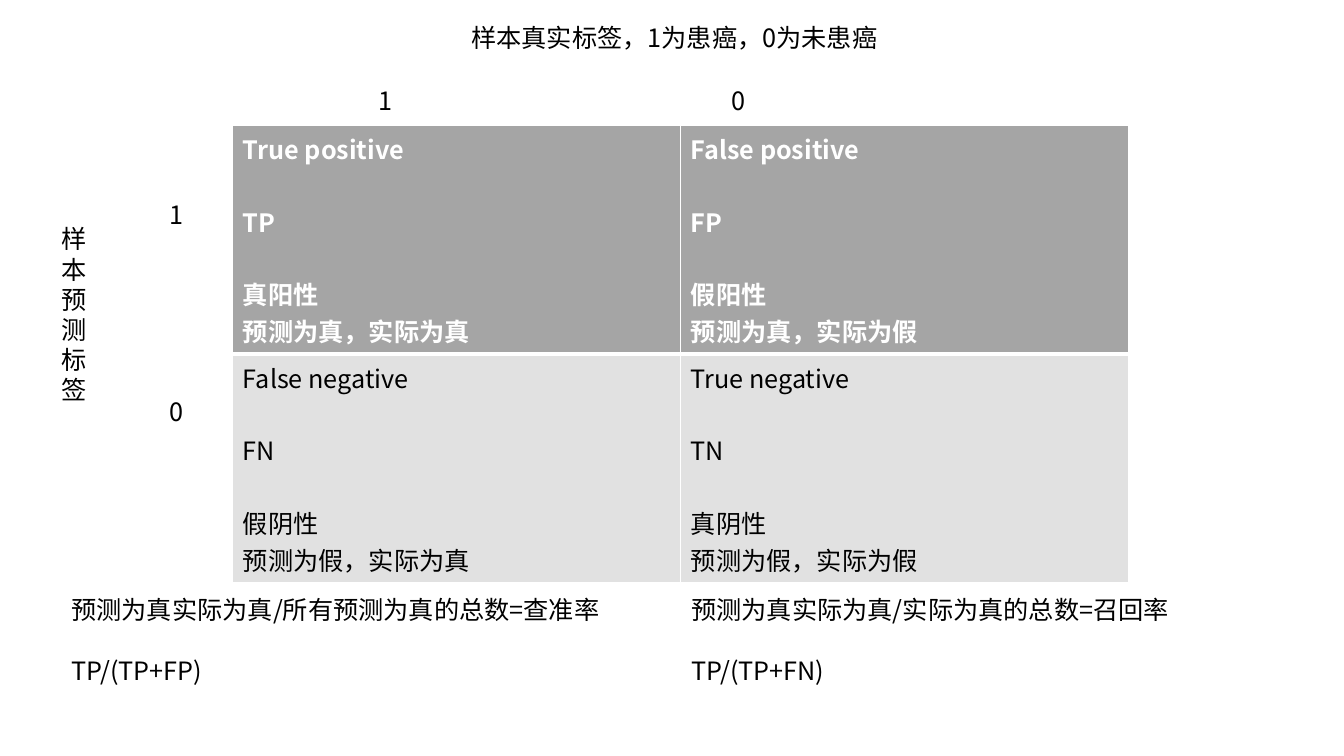
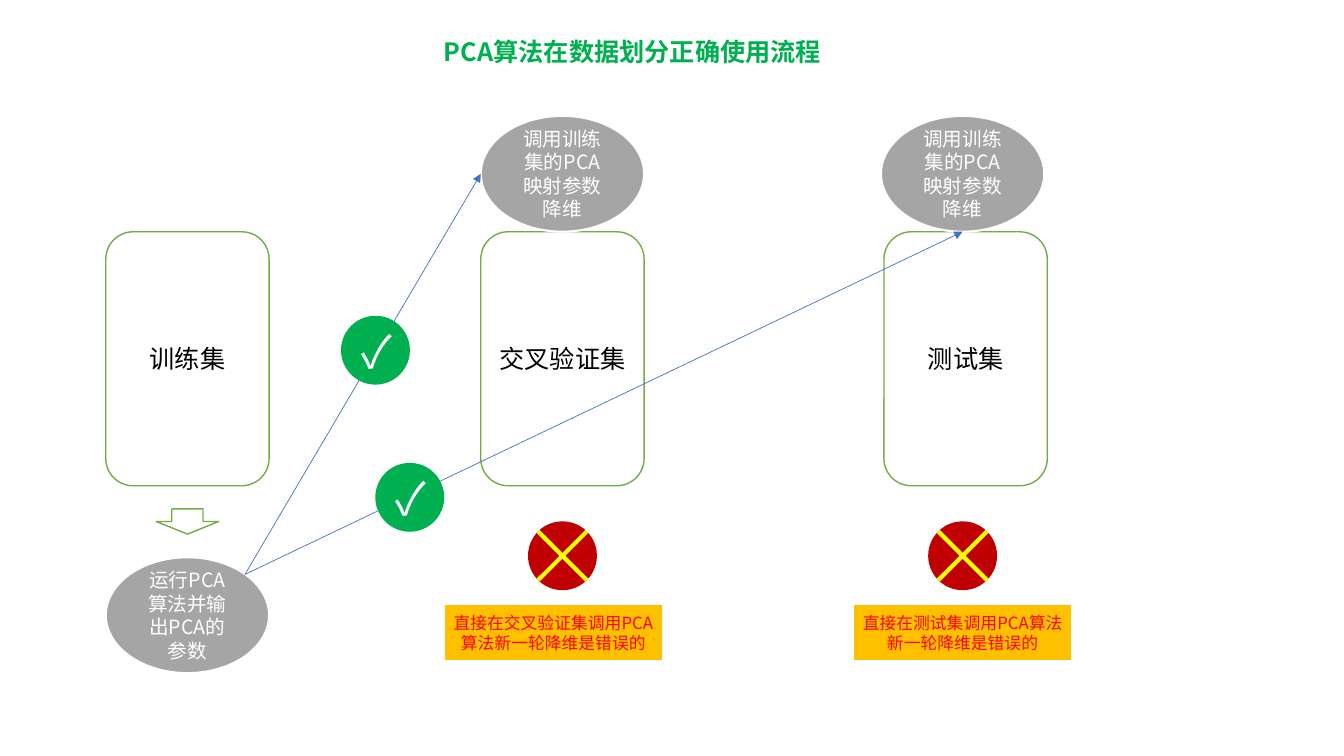
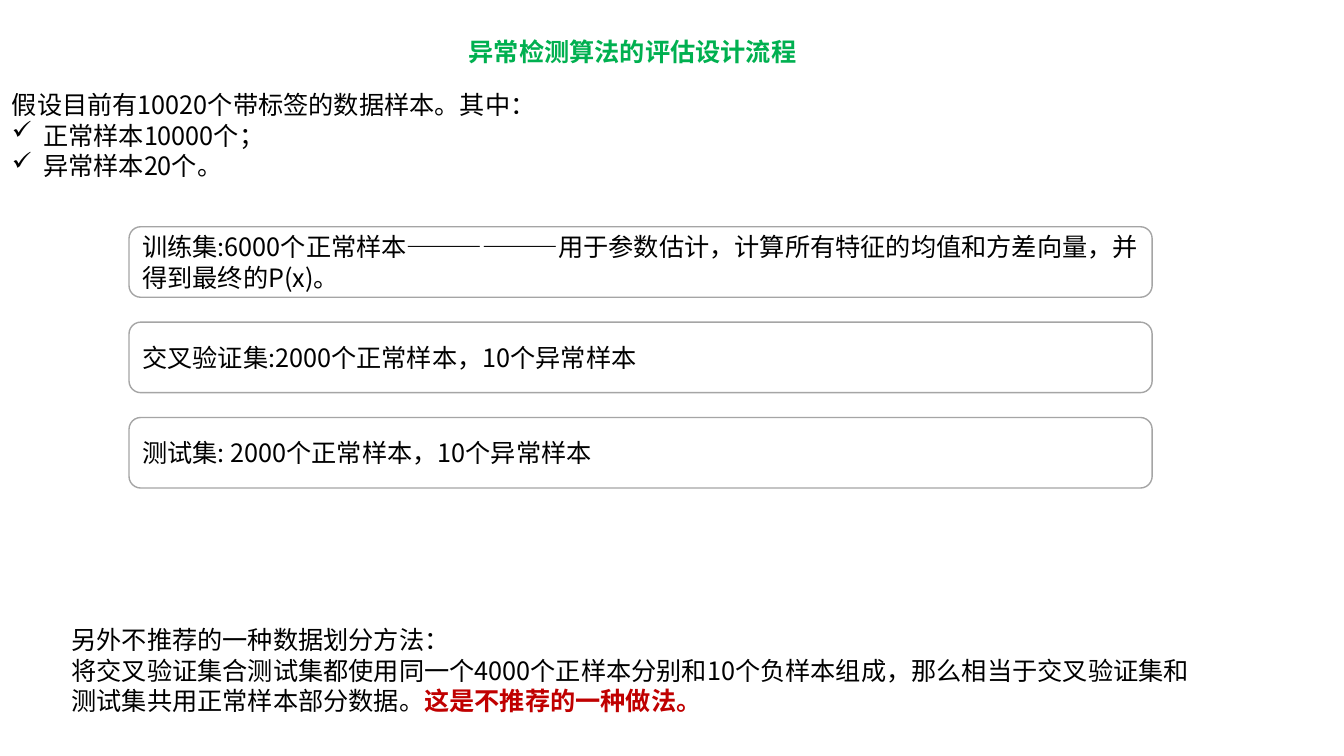
"""Build three slides on evaluating machine learning models."""
import lxml.etree
import pptx
import pptx.dml.color
import pptx.enum.shapes
import pptx.enum.text
import pptx.oxml.ns
import pptx.util

RGB = pptx.dml.color.RGBColor
BLACK = RGB(0x00, 0x00, 0x00)
WHITE = RGB(0xFF, 0xFF, 0xFF)
GREY = RGB(0xA5, 0xA5, 0xA5)
PALE = RGB(0xE1, 0xE1, 0xE1)
GREEN = RGB(0x00, 0xB0, 0x50)
LEAF = RGB(0x70, 0xAD, 0x47)
BLUE = RGB(0x44, 0x72, 0xC4)
MAROON = RGB(0xC0, 0x00, 0x00)
RED = RGB(0xFF, 0x00, 0x00)
GOLD = RGB(0xFF, 0xC0, 0x00)
YELLOW = RGB(0xFF, 0xFF, 0x00)

FACE = "Noto Sans CJK SC"
SHAPE = pptx.enum.shapes.MSO_SHAPE
ALIGN = pptx.enum.text.PP_ALIGN
ANCHOR = pptx.enum.text.MSO_ANCHOR
WIDE, HIGH = pptx.util.Inches(13.33), pptx.util.Inches(7.5)
COLS = 40
UNIT = WIDE / COLS
LEAD = 1.2
BODY = {"size": 18, "color": BLACK, "bold": False}
HEAD = {"size": 18, "color": GREEN, "bold": True}
ALERT = {"size": 18, "color": MAROON, "bold": True}
CALL = {"size": 14, "color": WHITE, "bold": False}
WARN = {"size": 12, "color": RED, "bold": False}
MARK = {"size": 32, "color": WHITE, "bold": False}


def cells(*vals):
    """Turn grid cells into slide lengths."""
    return [round(val * UNIT) for val in vals]


def assign(obj, vals):
    """Set each attribute named in a dict."""
    for key, val in vals.items():
        setattr(obj, key, val)


def node(top, tag, **attrs):
    """Add a drawing element below another."""
    return lxml.etree.SubElement(top, pptx.oxml.ns.qn("a:" + tag), attrs)


def add_run(para, text, look):
    """Add one run in the given look."""
    run = para.add_run()
    run.text = text
    assign(run.font, {"name": FACE, "bold": look["bold"],
                      "size": pptx.util.Pt(look["size"])})
    run.font.color.rgb = look["color"]
    node(run._r.get_or_add_rPr(), "ea", typeface=FACE)


def write(frame, lines, look, align=ALIGN.LEFT, lead=LEAD, gaps=None):
    """Fill a frame with paragraphs, with gaps before some of them."""
    for num, line in enumerate(lines):
        para = frame.paragraphs[0] if num == 0 else frame.add_paragraph()
        para.alignment = align
        if lead:
            para.line_spacing = pptx.util.Pt(lead * look["size"])
        if gaps and num in gaps:
            para.space_before = pptx.util.Pt(gaps[num])
        runs = [(line, look)] if isinstance(line, str) else line
        for text, style in runs:
            add_run(para, text, style)


def label(slide, box, lines, look=BODY, **form):
    """Place a plain text box."""
    frame = slide.shapes.add_textbox(*cells(*box)).text_frame
    assign(frame, {"word_wrap": True,
                   "auto_size": pptx.enum.text.MSO_AUTO_SIZE.SHAPE_TO_FIT_TEXT})
    write(frame, lines, look, **form)
    return frame


def shape(slide, kind, box, fill, edge, width=1, lines=(), look=BODY,
          align=ALIGN.CENTER):
    """Place a filled shape with centred text."""
    item = slide.shapes.add_shape(kind, *cells(*box))
    item.shadow.inherit = False
    item.fill.solid()
    item.fill.fore_color.rgb = fill
    item.line.color.rgb = edge
    item.line.width = pptx.util.Pt(width)
    assign(item.text_frame, {"word_wrap": True,
                             "vertical_anchor": ANCHOR.MIDDLE})
    write(item.text_frame, lines, look, align)


def link(slide, start, end, color, width, arrow=False):
    """Draw a straight line, with an arrowhead if asked."""
    line = slide.shapes.add_connector(
        pptx.enum.shapes.MSO_CONNECTOR.STRAIGHT, *cells(*start, *end))
    line.line.color.rgb = color
    line.line.width = pptx.util.Pt(width)
    if arrow:
        node(line.line._get_or_add_ln(), "tailEnd", type="triangle")
    node(line._element.spPr, "effectLst")


def title(slide, text):
    """Place the shared green heading."""
    label(slide, (9.84, 0.93, 17.97, 1.2), [text], HEAD, align=ALIGN.CENTER)


def border(cell, sides):
    """Give a cell white borders of the given widths."""
    props = cell._tc.get_or_add_tcPr()
    for side, width in zip("LRTB", sides):
        edge = node(props, "ln" + side, w=str(pptx.util.Pt(width)))
        node(node(edge, "solidFill"), "srgbClr", val=str(WHITE))


def matrix(slide, box, rows):
    """Place the confusion table with its row and column labels."""
    left, top, wide, high = box
    grid = slide.shapes.add_table(2, 2, *cells(*box)).table
    assign(grid, {"first_row": False, "horz_banding": False})
    looks = [({**BODY, "color": WHITE, "bold": True}, GREY, (1, 1, 1, 3)),
             (BODY, PALE, (1, 1, 3, 1))]
    for row, (texts, (look, fill, sides)) in enumerate(zip(rows, looks)):
        for col, lines in enumerate(texts):
            cell = grid.cell(row, col)
            border(cell, sides)
            cell.fill.solid()
            cell.fill.fore_color.rgb = fill
            write(cell.text_frame, lines, look, lead=None, gaps={1: 26, 2: 26})
    for num, text in enumerate("10"):
        label(slide, (left + 4.05 + 10.5 * num, top - 1.32, 7.59, 1.2), [text])
        label(slide, (left - 2.19, top + 2.07 + 5.85 * num, 7.59, 1.2), [text])


def badge(slide, box):
    """Place a red disc with a yellow cross."""
    left, top, wide, high = box
    shape(slide, SHAPE.OVAL, box, MAROON, MAROON)
    near, far = 0.14, 0.86
    for one, two in ((near, far), (far, near)):
        link(slide, (left + near * wide, top + one * high),
             (left + far * wide, top + two * high), YELLOW, 3)


def bubble(slide, box, lines):
    """Place a grey ellipse with white text."""
    shape(slide, SHAPE.OVAL, box, GREY, WHITE, 1.5, lines, CALL)


def card(slide, box, text):
    """Place a data set card."""
    shape(slide, SHAPE.ROUNDED_RECTANGLE, box, WHITE, LEAF, 1, [text])


def misuse(slide, box, shift, text):
    """Place a call bubble, and the cross and warning below the card."""
    left, top, wide, high = box
    bubble(slide, box, ["调用训练集的PCA映射参数降维"])
    disc, note = 2.01, 6.54
    badge(slide, (left + (wide - disc) / 2, top + 12.09, disc, disc))
    shape(slide, SHAPE.RECTANGLE,
          (left + (wide - note) / 2 + shift, top + 14.52, note, 1.71),
          GOLD, WHITE, 1.5, [text], WARN)


def confusion(slide):
    """Build the confusion matrix slide."""
    matrix(slide, (6.93, 3.72, 26.66, 12.36), [
        [("True positive", "TP", "真阳性", "预测为真，实际为真"),
         ("False positive", "FP", "假阳性", "预测为真，实际为假")],
        [("False negative", "FN", "假阴性", "预测为假，实际为真"),
         ("True negative", "TN", "真阴性", "预测为假，实际为假")]])
    for box, text in (
            ((12.33, 0.51, 15.48, 1.2), "样本真实标签，1为患癌，0为未患癌"),
            ((1.47, 6.51, 1.47, 5.76), "样本预测标签")):
        label(slide, box, [text], align=ALIGN.CENTER)
    for left, wide, lines in (
            (1.83, 16.74, ["预测为真实际为真/所有预测为真的总数=查准率", "TP/(TP+FP)"]),
            (20.28, 16.17, ["预测为真实际为真/实际为真的总数=召回率", "TP/(TP+FN)"])):
        label(slide, (left, 17.55, wide, 3.03), lines, gaps={1: 21.6})


def process(slide):
    """Build the PCA process slide."""
    title(slide, "PCA算法在数据划分正确使用流程")
    wide, tall, high = 4.86, 7.56, 3.45
    for left, text in ((3.15, "训练集"), (14.31, "交叉验证集"), (26.31, "测试集")):
        card(slide, (left, 2 * high, wide, tall), text)
    shape(slide, SHAPE.DOWN_ARROW, (4.65, 15.15, 1.86, 0.75), WHITE, LEAF)
    bubble(slide, (3.15, 16.59, wide, high), ["运行PCA", "算法并输出PCA的参数"])
    for left, shift, text in (
            (14.31, -0.27, "直接在交叉验证集调用PCA算法新一轮降维是错误的"),
            (26.22, 0, "直接在测试集调用PCA算法新一轮降维是错误的")):
        misuse(slide, (left, high, wide, high), shift, text)
    for end in ((14.31, 1.5 * high), (28.65, 2 * high)):
        link(slide, (7.29, 17.1), end, BLUE, 0.5, True)
    for left, top in ((10.17, 9.42), (11.19, 13.8)):
        shape(slide, SHAPE.OVAL, (left, top, 2.01, 2.01), GREEN, GREEN, 1,
              ["✓"], MARK)


def samples(slide, box):
    """Place the sample counts, with ticks as bullets."""
    frame = label(slide, box, ["假设目前有10020个带标签的数据样本。其中：",
                               "正常样本10000个；", "异常样本20个。"])
    hang = pptx.util.Inches(0.31)
    for para in frame.paragraphs[1:]:
        props = para._p.get_or_add_pPr()
        props.set("marL", str(hang))
        props.set("indent", str(-hang))
        node(props, "buChar", char="✓")


def splits(slide, box, texts):
    """Stack one outlined box for each data set."""
    left, top, wide, high = box
    for num, text in enumerate(texts):
        shape(slide, SHAPE.ROUNDED_RECTANGLE,
              (left, top + 2.84 * num, wide, high), WHITE, GREY, 1, [text],
              align=ALIGN.LEFT)


def design(slide):
    """Build the anomaly detection slide."""
    title(slide, "异常检测算法的评估设计流程")
    samples(slide, (0.06, 2.52, 19.95, 3.03))
    splits(slide, (3.84, 6.75, 30.45, 2.1), [
        "训练集:6000个正常样本——————用于参数估计，计算所有特征的均值和方差向量，"
        "并得到最终的P(x)。",
        "交叉验证集:2000个正常样本，10个异常样本",
        "测试集: 2000个正常样本，10个异常样本"])
    label(slide, (1.83, 18.45, 34.5, 3.03), [
        "另外不推荐的一种数据划分方法：",
        [("将交叉验证集合测试集都使用同一个4000个正样本分别和10个负样本组成，"
          "那么相当于交叉验证集和测试集共用正常样本部分数据。", BODY),
         ("这是不推荐的一种做法。", ALERT)]])


def main():
    """Build and save the deck."""
    deck = pptx.Presentation()
    assign(deck, {"slide_width": WIDE, "slide_height": HIGH})
    for build in (confusion, process, design):
        build(deck.slides.add_slide(deck.slide_layouts[6]))
    deck.save("out.pptx")


if __name__ == "__main__":
    main()
